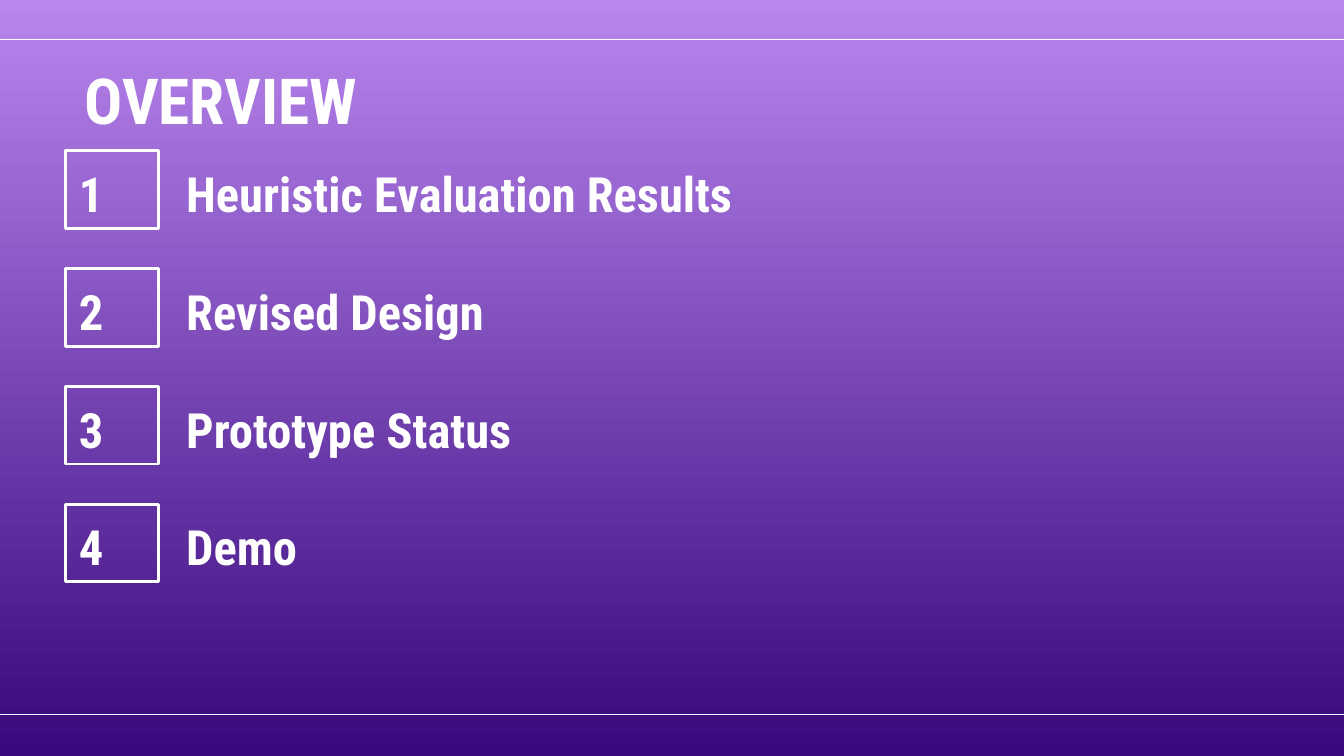
import pptx
import pptx.dml.color
import pptx.enum.shapes
import pptx.enum.text
import pptx.oxml
import pptx.util
from pptx.util import Cm

WHITE = "FFFFFF"
FONT = "Roboto Condensed"
SLIDE_WIDTH, SLIDE_HEIGHT = Cm(25.4), Cm(14.29)
TOPICS = ["Heuristic Evaluation Results", "Revised Design", "Prototype Status", "Demo"]


def rgb(hex_string):
    """Return the colour for a hex string."""
    return pptx.dml.color.RGBColor.from_string(hex_string)


def write_text(shape, text, size=26, color=WHITE, bold=True):
    """Write one formatted, left-aligned line in a shape."""
    frame = shape.text_frame
    frame.word_wrap = True
    frame.auto_size = pptx.enum.text.MSO_AUTO_SIZE.NONE
    frame.vertical_anchor = pptx.enum.text.MSO_ANCHOR.TOP
    frame.margin_left = frame.margin_right = Cm(0.25)
    frame.margin_top = frame.margin_bottom = Cm(0.25)
    paragraph = frame.paragraphs[0]
    paragraph.alignment = pptx.enum.text.PP_ALIGN.LEFT
    run = paragraph.add_run()
    run.text = text
    run.font.name = FONT
    run.font.size = pptx.util.Pt(size)
    run.font.bold = bold
    run.font.color.rgb = rgb(color)


def paint_background(slide, top_color, bottom_color):
    """Fill the slide with a vertical gradient."""
    fill = slide.background.fill
    fill.gradient()
    fill.gradient_angle = 270
    for stop, color, position in zip(fill.gradient_stops, (top_color, bottom_color), (0, 1)):
        stop.color.rgb = rgb(color)
        stop.position = position


def add_rule(slide, left, top, width):
    """Draw a thin horizontal rule."""
    rule = slide.shapes.add_connector(
        pptx.enum.shapes.MSO_CONNECTOR.STRAIGHT, left + width, top, left, top)
    rule.line.color.rgb = rgb(WHITE)
    rule.line.width = pptx.util.Pt(0.75)
    effects = pptx.oxml.parse_xml(
        '<a:effectLst xmlns:a="http://schemas.openxmlformats.org/drawingml/2006/main"/>')
    rule._element.spPr.append(effects)


def add_heading(slide, left, top, width, height):
    """Place the slide heading in its box."""
    heading = slide.shapes.add_textbox(left, top, width, height)
    write_text(heading, "OVERVIEW", size=34)


def add_topic(slide, number, topic, left, top, width, height):
    """Place a framed number and its topic in a row."""
    frame_width, topic_offset = Cm(1.76), Cm(2.03)
    label = slide.shapes.add_textbox(left + topic_offset, top, width - topic_offset, height)
    write_text(label, topic)
    number_frame = slide.shapes.add_shape(
        pptx.enum.shapes.MSO_SHAPE.RECTANGLE, left, top, frame_width, height)
    number_frame.shadow.inherit = False
    number_frame.fill.background()
    number_frame.line.color.rgb = rgb(WHITE)
    number_frame.line.width = pptx.util.Pt(1.5)
    write_text(number_frame, str(number))


def add_agenda(slide, left, top, width, height):
    """Spread the topic rows evenly over the box."""
    row_height = Cm(1.47)
    pitch = (height - row_height) // (len(TOPICS) - 1)
    for index, topic in enumerate(TOPICS):
        add_topic(slide, index + 1, topic, left, top + index * pitch, width, row_height)


def main():
    """Build and save the overview slide."""
    deck = pptx.Presentation()
    deck.slide_width, deck.slide_height = SLIDE_WIDTH, SLIDE_HEIGHT
    slide = deck.slides.add_slide(deck.slide_layouts[6])
    paint_background(slide, "B986EE", "38087C")
    for rule_top in (Cm(13.51), Cm(0.75)):
        add_rule(slide, 0, rule_top, SLIDE_WIDTH)
    add_agenda(slide, Cm(1.24), Cm(2.85), Cm(12.93), Cm(8.15))
    add_heading(slide, Cm(1.35), Cm(0.91), Cm(21.44), Cm(1.6))
    deck.save("out.pptx")


if __name__ == "__main__":
    main()
